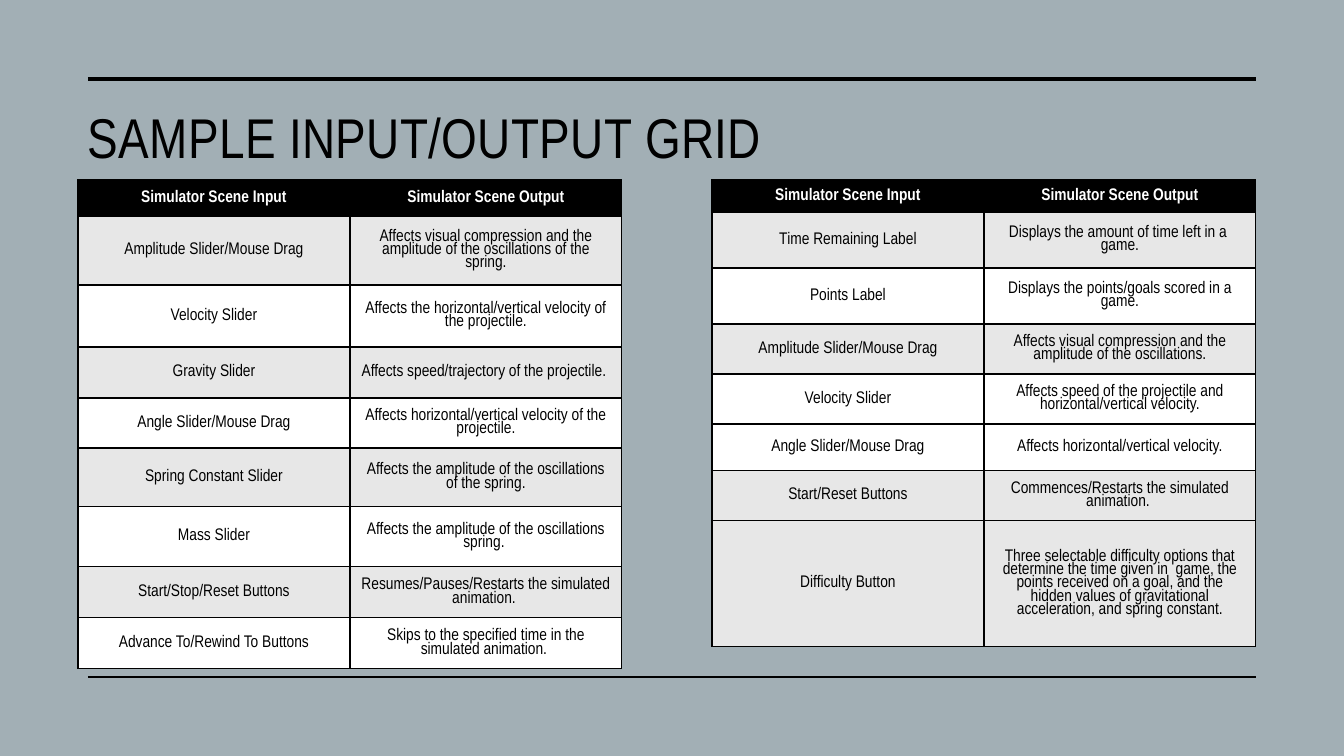
from lxml import etree
from pptx import Presentation
from pptx.dml.color import RGBColor
from pptx.enum.shapes import MSO_CONNECTOR
from pptx.enum.text import MSO_ANCHOR, PP_ALIGN
from pptx.oxml.ns import qn
from pptx.util import Emu, Pt

STRAIGHT = MSO_CONNECTOR.STRAIGHT
MIDDLE = MSO_ANCHOR.MIDDLE
CENTER = PP_ALIGN.CENTER
BLACK = RGBColor(0x00, 0x00, 0x00)
WHITE = RGBColor(0xFF, 0xFF, 0xFF)
GRAY = RGBColor(0xE7, 0xE7, 0xE7)
SLATE = RGBColor(0xA2, 0xAF, 0xB5)
FONT = "Arial Narrow"
LINE_SPACING = 0.85
COLUMN_WIDTH = 272
GRID_TOP = 180


def px(n):
    return Emu(round(n * 914400 / 100.8))


def add_run(paragraph, text, size, color, bold=False):
    run = paragraph.add_run()
    run.text = text
    run.font.name = FONT
    run.font.size = Pt(size)
    run.font.bold = bold
    run.font.color.rgb = color
    return run


HEADER = ("Simulator Scene Input", "Simulator Scene Output")

SIMULATOR_ROWS = [
    (36, BLACK, *HEADER),
    (69, GRAY, "Amplitude Slider/Mouse Drag",
     "Affects visual compression and the amplitude of the oscillations of the spring."),
    (62, WHITE, "Velocity Slider",
     "Affects the horizontal/vertical velocity of the projectile."),
    (51, GRAY, "Gravity Slider", "Affects speed/trajectory of the projectile. "),
    (50, WHITE, "Angle Slider/Mouse Drag",
     "Affects horizontal/vertical velocity of the projectile."),
    (59, GRAY, "Spring Constant Slider",
     "Affects the amplitude of the oscillations of the spring."),
    (60, WHITE, "Mass Slider", "Affects the amplitude of the oscillations spring. "),
    (51, GRAY, "Start/Stop/Reset Buttons",
     "Resumes/Pauses/Restarts the simulated animation. "),
    (51, WHITE, "Advance To/Rewind To Buttons",
     "Skips to the specified time in the simulated animation. "),
]

GAME_ROWS = [
    (32, BLACK, *HEADER),
    (56, GRAY, "Time Remaining Label", "Displays the amount of time left in a  game."),
    (56, WHITE, "Points Label", "Displays the points/goals scored in a game."),
    (50, GRAY, "Amplitude Slider/Mouse Drag",
     "Affects visual compression and the amplitude of the oscillations."),
    (50, WHITE, "Velocity Slider",
     "Affects speed of the projectile and horizontal/vertical velocity."),
    (47, WHITE, "Angle Slider/Mouse Drag", "Affects horizontal/vertical velocity."),
    (50, GRAY, "Start/Reset Buttons", "Commences/Restarts the simulated animation. "),
    (126, GRAY, "Difficulty Button",
     "Three selectable difficulty options that determine the time given in  game, "
     "the points received on a goal, and the hidden values of gravitational "
     "acceleration, and spring constant."),
]

prs = Presentation()
prs.slide_width = px(1344)
prs.slide_height = px(756)
slide = prs.slides.add_slide(prs.slide_layouts[6])
slide.background.fill.solid()
slide.background.fill.fore_color.rgb = SLATE

for y, weight in ((79, 3.5), (677, 1)):
    rule = slide.shapes.add_connector(STRAIGHT, px(88), px(y), px(1256), px(y))
    rule.line.color.rgb = BLACK
    rule.line.width = Pt(weight)
    etree.SubElement(rule._element.spPr, qn("a:effectLst"))

title = slide.shapes.add_textbox(px(78), px(101), px(1178), px(80)).text_frame
title.word_wrap = True
title.vertical_anchor = MIDDLE
title.paragraphs[0].line_spacing = LINE_SPACING
title_run = add_run(title.paragraphs[0], "SAMPLE INPUT/OUTPUT GRID", 40, BLACK)
title_run.font._element.set("spc", "30")

for left, margin_x, margin_y, rows in (
    (78, 10, 5, SIMULATOR_ROWS),
    (712, 13, 7, GAME_ROWS),
):
    grid_height = sum(row[0] for row in rows)
    grid = slide.shapes.add_table(
        len(rows), 2, px(left), px(GRID_TOP), px(2 * COLUMN_WIDTH), px(grid_height)
    ).table
    for column in grid.columns:
        column.width = px(COLUMN_WIDTH)
    for r, (height, fill, *texts) in enumerate(rows):
        grid.rows[r].height = px(height)
        for c, text in enumerate(texts):
            cell = grid.cell(r, c)
            cell.vertical_anchor = MIDDLE
            cell.margin_left = cell.margin_right = px(margin_x)
            cell.margin_top = cell.margin_bottom = px(margin_y)
            paragraph = cell.text_frame.paragraphs[0]
            paragraph.alignment = CENTER
            paragraph.line_spacing = LINE_SPACING
            add_run(paragraph, text, 12, WHITE if r == 0 else BLACK, r == 0)
            properties = cell._tc.get_or_add_tcPr()
            for side in ("a:lnL", "a:lnR", "a:lnT", "a:lnB"):
                border = etree.SubElement(properties, qn(side), w=str(Pt(1)))
                border_fill = etree.SubElement(border, qn("a:solidFill"))
                etree.SubElement(border_fill, qn("a:srgbClr"), val=str(BLACK))
            cell.fill.solid()
            cell.fill.fore_color.rgb = fill

prs.save("out.pptx")
